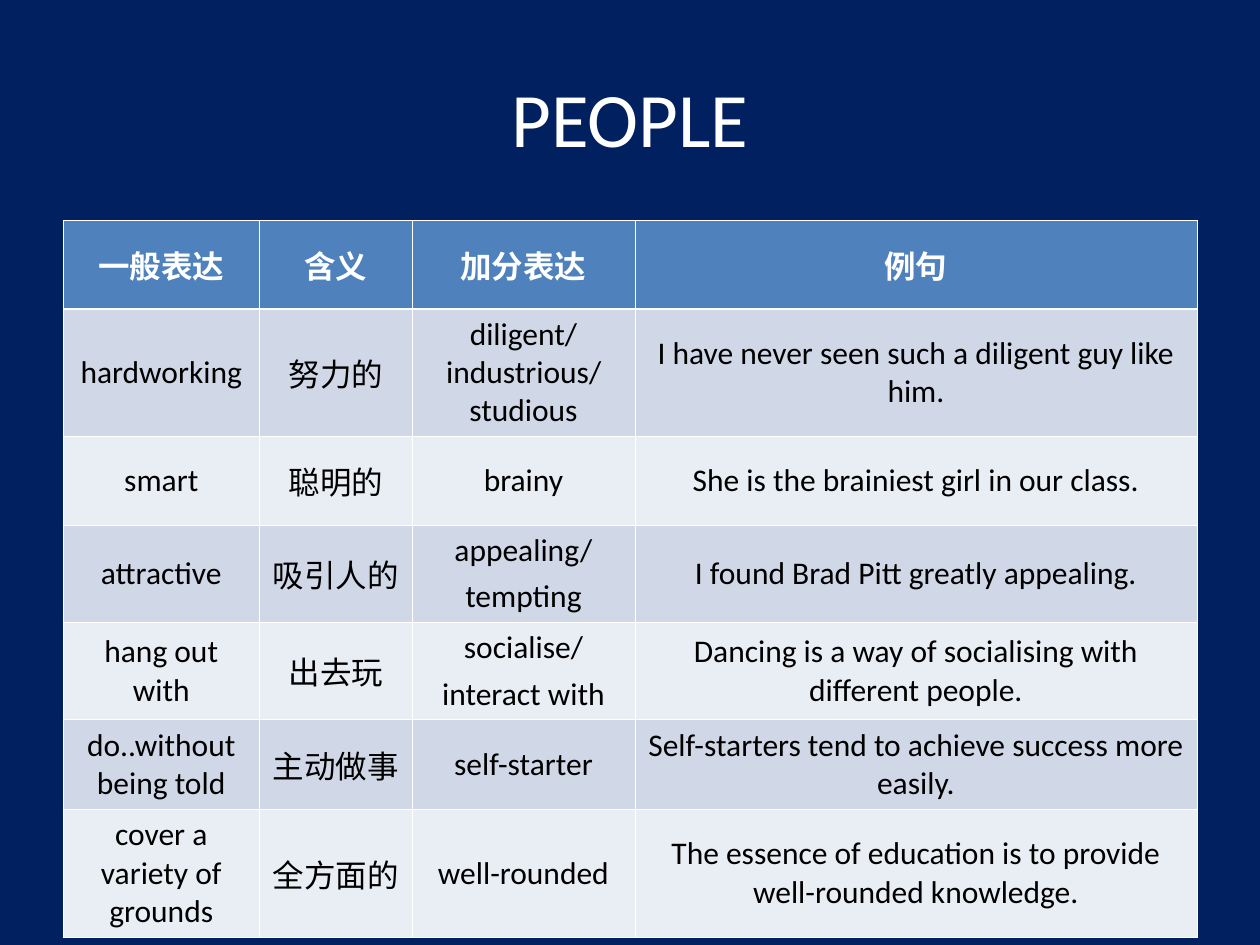
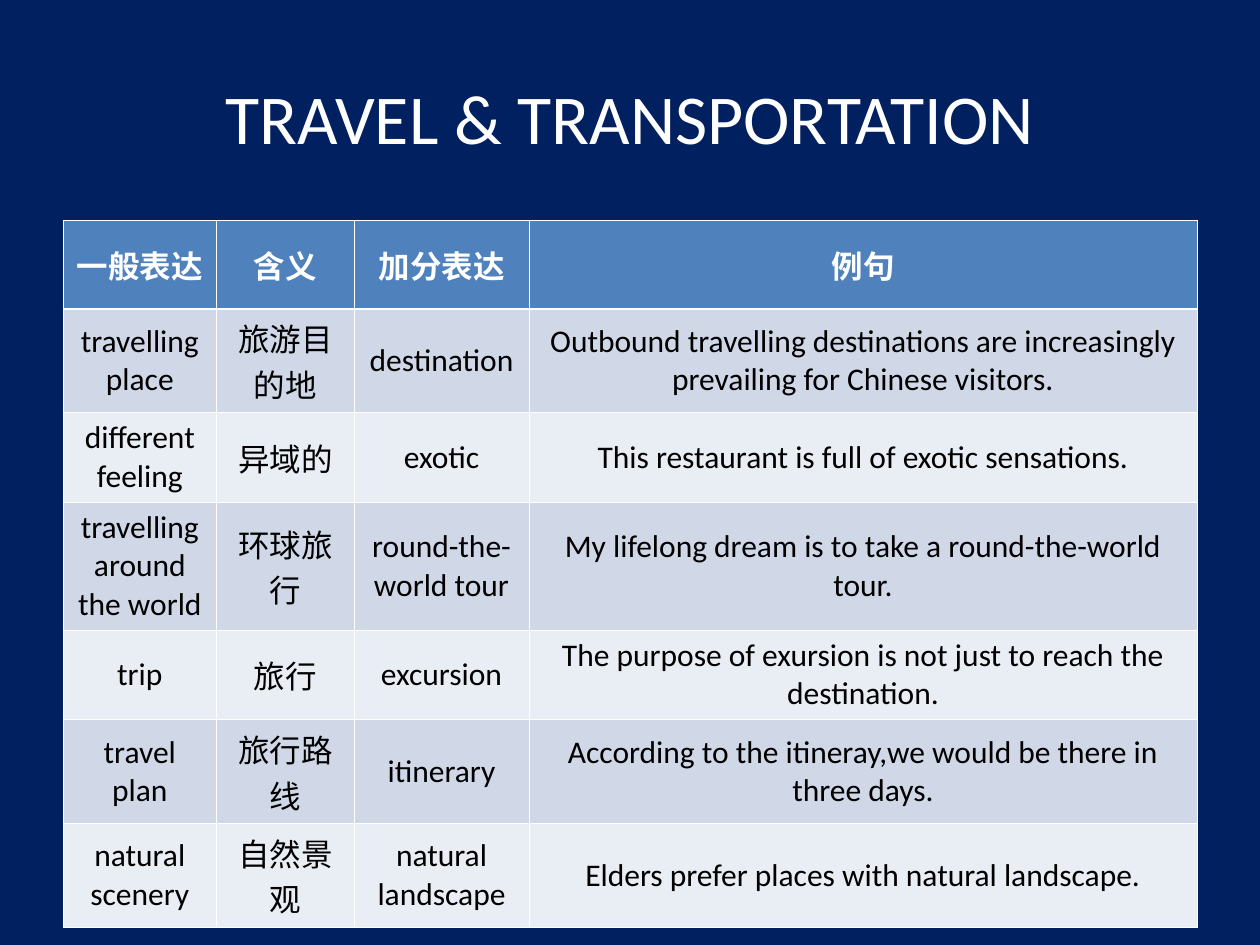
from pptx import Presentation, util as u
from pptx.dml.color import RGBColor
from pptx.enum import text
from pptx.oxml.ns import qn
from lxml import etree

HEAD = ("一般表达", "含义", "加分表达", "例句")

# Widths are those of the first three columns; the last takes the rest.
# Tall maps a row number to its height where it is not the usual one.
SLIDES = [
    dict(
        title="PEOPLE", size=44,
        widths=(1.56, 1.21, 1.77), tall={3: 0.77, 4: 0.77, 6: 1},
        rows=[
            ("hardworking", "努力的", "diligent/industrious/studious",
             "I have never seen such a diligent guy like him."),
            ("smart", "聪明的", "brainy",
             "She is the brainiest girl in our class."),
            ("attractive", "吸引人的", "appealing/\ntempting",
             "I found Brad Pitt greatly appealing."),
            ("hang out with", "出去玩", "socialise/\ninteract with",
             "Dancing is a way of socialising with different people."),
            ("do..without being told", "主动做事", "self-starter",
             "Self-starters tend to achieve success more easily."),
            ("cover a variety of grounds", "全方面的", "well-rounded",
             "The essence of education is to provide well-rounded knowledge."),
        ],
    ),
    dict(
        title="TRAVEL & TRANSPORTATION", size=40,
        widths=(1.22, 1.09, 1.39), tall={3: 1},
        rows=[
            ("travelling place", "旅游目的地", "destination",
             "Outbound travelling destinations are increasingly "
             "prevailing for Chinese visitors."),
            ("different feeling", "异域的", "exotic",
             "This restaurant is full of exotic sensations."),
            ("travelling around the world", "环球旅行", "round-the-world tour",
             "My lifelong dream is to take a round-the-world tour."),
            ("trip", "旅行", "excursion",
             "The purpose of exursion is not just to reach the destination."),
            ("travel plan", "旅行路线", "itinerary",
             "According to the itineray,we would be there in three days."),
            ("natural scenery", "自然景观", "natural landscape",
             "Elders prefer places with natural landscape."),
        ],
    ),
]

NAVY = RGBColor(0x00, 0x20, 0x60)
WHITE = RGBColor(0xFF, 0xFF, 0xFF)
BLACK = RGBColor(0x00, 0x00, 0x00)
BLUE = RGBColor(0x4F, 0x81, 0xBD)
BANDS = (RGBColor(0xE9, 0xED, 0xF4), RGBColor(0xD0, 0xD8, 0xE8))

FONT = "Calibri"
WIDE, HIGH = 10, 7.5
LEFT = 0.05 * WIDE
SPAN = WIDE - 2 * LEFT
TOP = 1.75
ROW = 0.7
THIN, THICK = 0.45, 1.47


def style(frame, size, color, bold=False, before=0):
    frame.vertical_anchor = text.MSO_ANCHOR.MIDDLE
    for para in frame.paragraphs:
        para.alignment = text.PP_ALIGN.CENTER
        para.space_before = u.Pt(before)
        font = para.font
        font.name, font.size, font.bold = FONT, u.Pt(size), bold
        font.color.rgb = color


def edge(cell, row):
    """Draw white borders, with a thick one between head and body."""
    props = cell._tc.get_or_add_tcPr()
    for side in "LRTB":
        thick = (row, side) in ((0, "B"), (1, "T"))
        line = etree.SubElement(props, qn(f"a:ln{side}"),
                                w=str(u.Pt(THICK if thick else THIN)))
        fill = etree.SubElement(line, qn("a:solidFill"))
        etree.SubElement(fill, qn("a:srgbClr"), val=str(WHITE))


def add_title(slide, words, size):
    title = slide.shapes.title
    title.left, title.top = u.Inches(LEFT), u.Inches(0.04 * HIGH)
    title.width, title.height = u.Inches(SPAN), u.Inches(1.25)
    title.text_frame.text = words
    style(title.text_frame, size, WHITE)


def add_words(slide, rows, widths, tall):
    widths = (*widths, SPAN - sum(widths))
    heights = [tall.get(r, ROW) for r in range(len(rows))]
    table = slide.shapes.add_table(
        len(rows), len(widths), u.Inches(LEFT), u.Inches(TOP),
        u.Inches(SPAN), u.Inches(sum(heights))).table
    for col, width in zip(table.columns, widths):
        col.width = u.Inches(width)
    for r, (line, height) in enumerate(zip(rows, heights)):
        table.rows[r].height = u.Inches(height)
        head = r == 0
        for c, words in enumerate(line):
            cell = table.cell(r, c)
            cell.text_frame.text = words
            style(cell.text_frame, 18, WHITE if head else BLACK, head, 4.5)
            cell.vertical_anchor = text.MSO_ANCHOR.MIDDLE
            edge(cell, r)
            cell.fill.solid()
            cell.fill.fore_color.rgb = BLUE if head else BANDS[r % 2]


def main():
    prs = Presentation()
    prs.slide_width, prs.slide_height = u.Inches(WIDE), u.Inches(HIGH)
    back = prs.slide_master.background.fill
    back.solid()
    back.fore_color.rgb = NAVY
    for page in SLIDES:
        slide = prs.slides.add_slide(prs.slide_layouts.get_by_name("Title Only"))
        add_title(slide, page["title"], page["size"])
        add_words(slide, [HEAD, *page["rows"]], page["widths"], page["tall"])
    prs.save("out.pptx")


if __name__ == "__main__":
    main()
